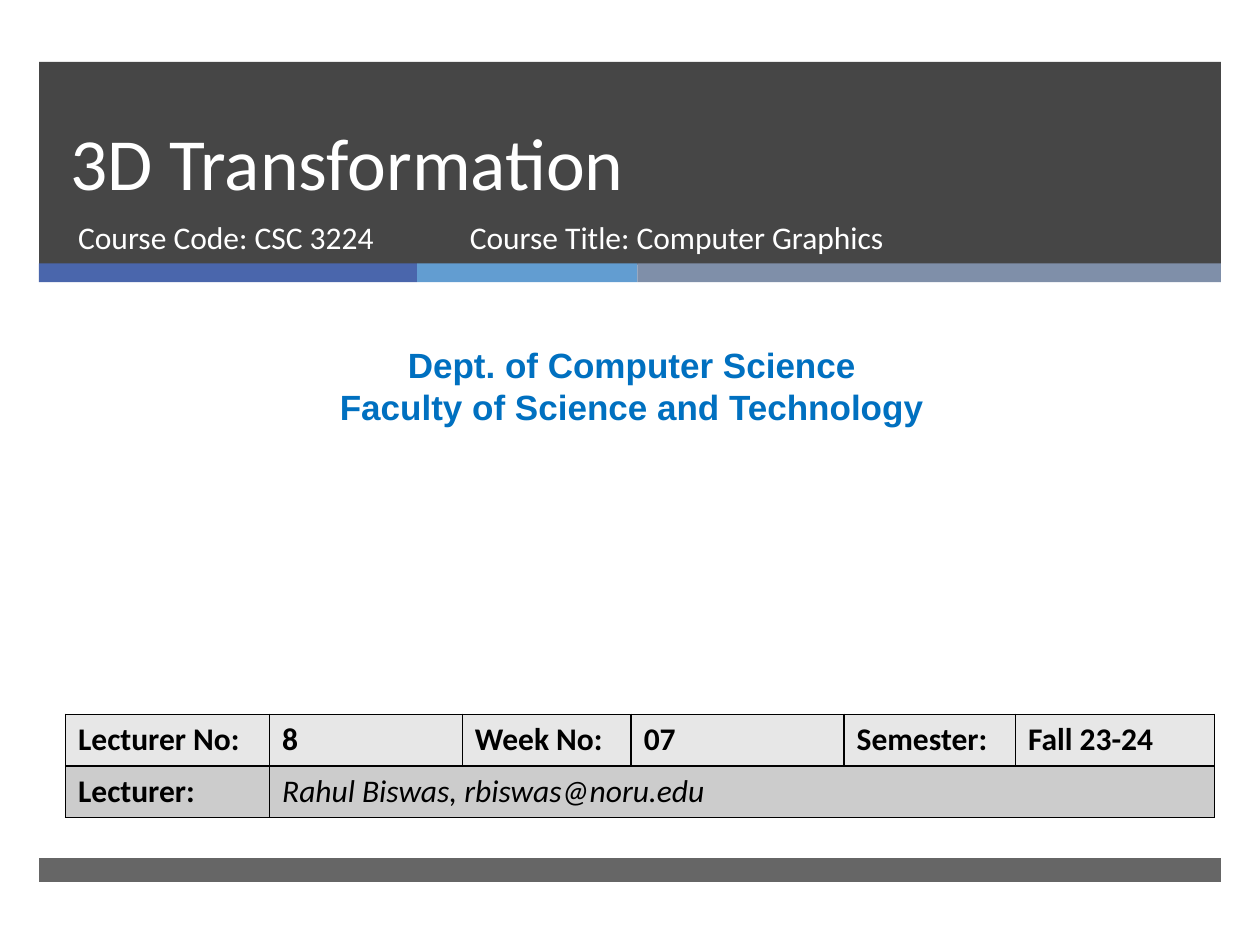
from lxml.etree import SubElement
from pptx import Presentation
from pptx.dml.color import RGBColor
from pptx.enum.shapes import MSO_SHAPE
from pptx.enum.text import MSO_ANCHOR, MSO_AUTO_SIZE, PP_ALIGN
from pptx.oxml.ns import qn
from pptx.util import Inches, Pt

WHITE = RGBColor(0xFF, 0xFF, 0xFF)
BLACK = RGBColor(0, 0, 0)
CHARCOAL = RGBColor(0x26, 0x26, 0x26)
INDIGO = RGBColor(0x4A, 0x66, 0xAC)
SKY = RGBColor(0x62, 0x9D, 0xD1)
SLATE = RGBColor(0x7F, 0x8F, 0xA9)
BLUE = RGBColor(0x00, 0x70, 0xC0)
LIGHT_GRAY = RGBColor(0xE7, 0xE7, 0xE7)
MID_GRAY = RGBColor(0xCC, 0xCC, 0xCC)

TITLE = "3D Transformation"
COURSE_CODE = "Course Code: CSC 3224"
COURSE_TITLE = "Course Title: Computer Graphics"
DEPARTMENT = "Dept. of Computer Science\nFaculty of Science and Technology"
LECTURE_ROWS = [
    ["Lecturer No:", "8", "Week No:", "07", "Semester:", "Fall 23-24"],
    ["Lecturer:", "Rahul Biswas, rbiswas@noru.edu"],
]
ROW_FILLS = [LIGHT_GRAY, MID_GRAY]
COLUMN_WIDTHS = [1.62, 1.53, 1.34, 1.69, 1.36, 1.58]
ROW_HEIGHT = 0.41
STRIPES = [(3, INDIGO), (1.75, SKY), (4.63, SLATE)]
BAND_LEFT, BAND_WIDTH = 0.31, 9.38


def add_band(slide, left, top, width, height, color, opacity=100):
    band = slide.shapes.add_shape(
        MSO_SHAPE.RECTANGLE, Inches(left), Inches(top), Inches(width), Inches(height))
    band.shadow.inherit = False
    band.fill.solid()
    band.fill.fore_color.rgb = color
    band.line.fill.background()
    if opacity < 100:
        color_element = band.element.spPr.find(qn("a:solidFill"))[0]
        SubElement(color_element, qn("a:alpha"), val=str(opacity * 1000))


def format_runs(text_frame, size, color, font="Calibri", bold=False, italic=False):
    for paragraph in text_frame.paragraphs:
        for run in paragraph.runs:
            run.font.name = font
            run.font.size = Pt(size)
            run.font.color.rgb = color
            run.font.bold = bold
            run.font.italic = italic


def place_text(shape, box, text, size, color, font="Calibri", bold=False,
               align=PP_ALIGN.LEFT, anchor=MSO_ANCHOR.TOP):
    shape.left, shape.top, shape.width, shape.height = map(Inches, box)
    text_frame = shape.text_frame
    text_frame.text = text
    text_frame.word_wrap = True
    text_frame.auto_size = MSO_AUTO_SIZE.NONE
    text_frame.vertical_anchor = anchor
    for paragraph in text_frame.paragraphs:
        paragraph.alignment = align
        paragraph.space_before = Pt(0)
    format_runs(text_frame, size, color, font, bold)
    shape.element.getparent().append(shape.element)


def add_text_box(slide, box, *content, **style):
    place_text(slide.shapes.add_textbox(*map(Inches, box)), box, *content, **style)


def set_borders(cell):
    properties = cell._tc.get_or_add_tcPr()
    for position, side in enumerate(("a:lnL", "a:lnR", "a:lnT", "a:lnB")):
        line = SubElement(properties, qn(side), w=str(Pt(1)))
        fill = SubElement(line, qn("a:solidFill"))
        SubElement(fill, qn("a:srgbClr"), val=str(BLACK))
        properties.insert(position, line)


def add_lecture_table(slide):
    row_count, column_count = len(LECTURE_ROWS), len(COLUMN_WIDTHS)
    table = slide.shapes.add_table(
        row_count, column_count, Inches(0.52), Inches(5.67),
        Inches(sum(COLUMN_WIDTHS)), Inches(ROW_HEIGHT * row_count)).table
    table.first_row = False
    table.horz_banding = False
    for column, width in zip(table.columns, COLUMN_WIDTHS):
        column.width = Inches(width)
    for row_index, (texts, color) in enumerate(zip(LECTURE_ROWS, ROW_FILLS)):
        table.rows[row_index].height = Inches(ROW_HEIGHT)
        for column_index in range(column_count):
            cell = table.cell(row_index, column_index)
            cell.fill.solid()
            cell.fill.fore_color.rgb = color
            set_borders(cell)
            if column_index < len(texts):
                cell.text_frame.text = texts[column_index]
                format_runs(cell.text_frame, 18, BLACK, bold=True)
    lecturer = table.cell(1, 1)
    lecturer.merge(table.cell(1, column_count - 1))
    format_runs(lecturer.text_frame, 18, BLACK, italic=True)


def main():
    presentation = Presentation()
    presentation.slide_width = Inches(10)
    presentation.slide_height = Inches(7.5)
    slide = presentation.slides.add_slide(presentation.slide_layouts[0])

    add_band(slide, BAND_LEFT, 0.49, BAND_WIDTH, 1.61, CHARCOAL, 85)
    left = BAND_LEFT
    for width, color in STRIPES:
        add_band(slide, left, 2.09, width, 0.15, color)
        left += width
    add_band(slide, BAND_LEFT, 6.81, BAND_WIDTH, 0.19, CHARCOAL, 70)

    title = slide.shapes.title
    place_text(title, (0.46, 0.49, 8.54, 1.19), TITLE, 42, WHITE,
               anchor=MSO_ANCHOR.BOTTOM)
    title.text_frame.paragraphs[0].line_spacing = Pt(46)
    place_text(slide.placeholders[1], (0.52, 1.68, 3.05, 0.53), COURSE_CODE, 18, WHITE)
    add_text_box(slide, (0.08, 2.68, 9.87, 0.77), DEPARTMENT, 20, BLUE,
                 font="Arial", bold=True, align=PP_ALIGN.CENTER)
    add_lecture_table(slide)
    add_text_box(slide, (3.63, 1.68, 4.55, 0.53), COURSE_TITLE, 18, WHITE)

    presentation.save("out.pptx")


if __name__ == "__main__":
    main()
